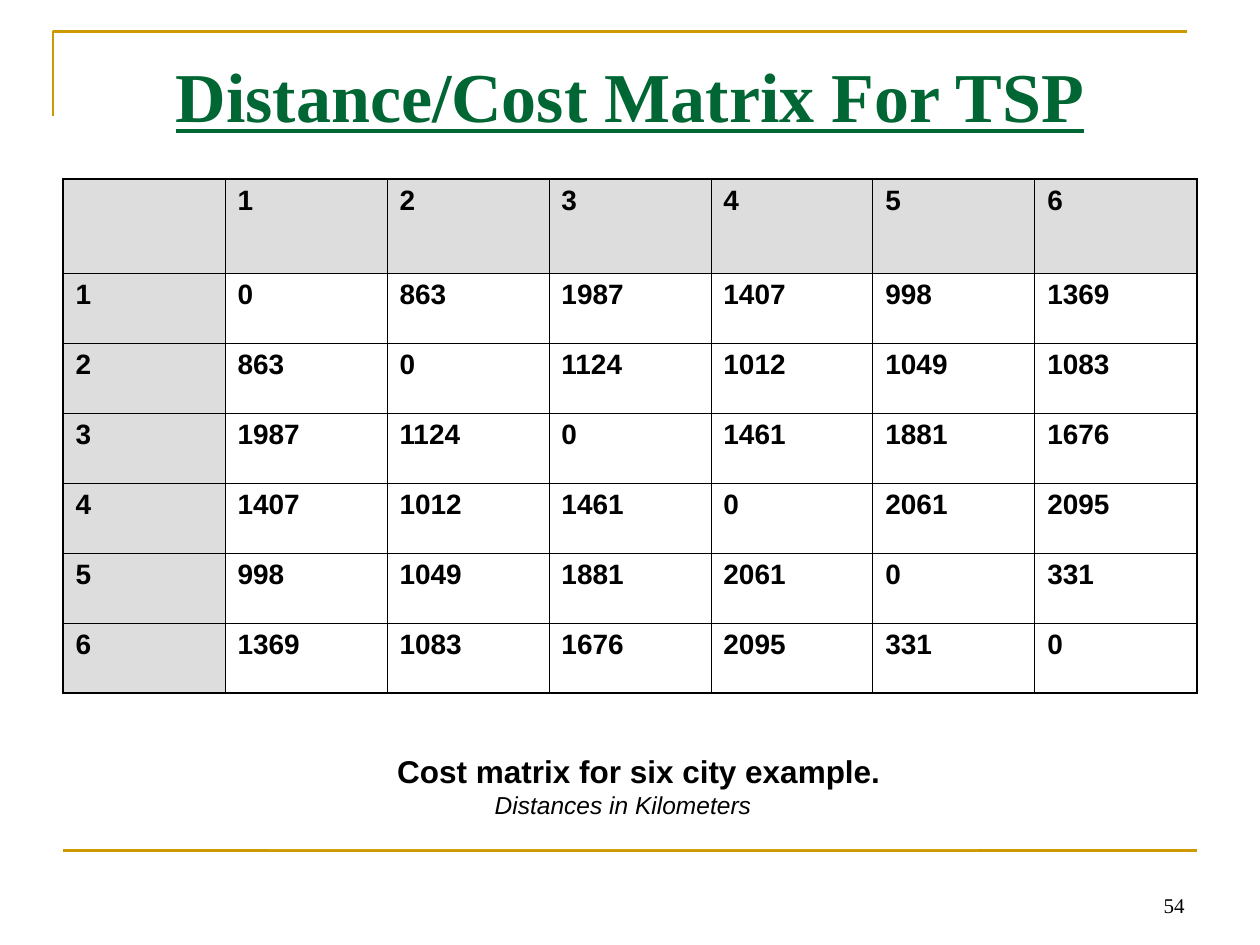
from dataclasses import dataclass

from lxml.etree import SubElement
from pptx import Presentation
from pptx.dml.color import RGBColor
from pptx.enum.shapes import MSO_CONNECTOR
from pptx.enum.text import MSO_ANCHOR, PP_ALIGN
from pptx.oxml.ns import qn
from pptx.slide import Slide
from pptx.table import _Cell
from pptx.util import Inches, Pt

COLORS = {
    "gold": "CC9900",
    "green": "006633",
    "black": "000000",
    "header": "DDDDDD",
    "white": "FFFFFF",
}
SERIF, SANS = "Times New Roman", "Arial"
DISTANCES = [
    [0, 863, 1987, 1407, 998, 1369],
    [863, 0, 1124, 1012, 1049, 1083],
    [1987, 1124, 0, 1461, 1881, 1676],
    [1407, 1012, 1461, 0, 2061, 2095],
    [998, 1049, 1881, 2061, 0, 331],
    [1369, 1083, 1676, 2095, 331, 0],
]
THIN, THICK = 0.45, 1.08


@dataclass
class Line:
    """One paragraph and its type style."""

    text: str
    size: float
    font: str = SANS
    color: str = "black"
    bold: bool = False
    italic: bool = False
    underline: bool = False
    align: PP_ALIGN = PP_ALIGN.CENTER
    indent: float = 0


@dataclass
class TextBlock:
    """A text box with its place and lines."""

    left: float
    top: float
    width: float
    height: float
    lines: list[Line]
    anchor: MSO_ANCHOR = MSO_ANCHOR.TOP
    inset_top: float = 0.05
    fill: str | None = None


BLOCKS = [
    TextBlock(7.17, 6.83, 2.33, 0.5,
              [Line("54", 12, SERIF, align=PP_ALIGN.RIGHT)], MSO_ANCHOR.BOTTOM),
    TextBlock(0.5, 0.3, 9, 1.25,
              [Line("Distance/Cost Matrix For TSP", 40, SERIF, "green", bold=True, underline=True)],
              inset_top=0.12),
    TextBlock(2.13, 5.92, 5.63, 0.82,
              [Line("Cost matrix for six city example.", 18, bold=True, indent=0.25),
               Line("Distances in Kilometers", 14, italic=True)], fill="white"),
]


def rgb(name: str) -> RGBColor:
    """Return the named colour."""
    return RGBColor.from_string(COLORS[name])


def write_line(paragraph, line: Line) -> None:
    """Fill a paragraph with styled text."""
    paragraph.text = line.text
    paragraph.alignment = line.align
    if line.indent:
        paragraph._p.get_or_add_pPr().set("marL", str(Inches(line.indent)))
    font = paragraph.font
    font.name, font.size = line.font, Pt(line.size)
    font.bold, font.italic, font.underline = line.bold, line.italic, line.underline
    font.color.rgb = rgb(line.color)


def add_text(slide: Slide, block: TextBlock) -> None:
    """Place a text block."""
    box = slide.shapes.add_textbox(
        Inches(block.left), Inches(block.top), Inches(block.width), Inches(block.height))
    if block.fill:
        box.fill.solid()
        box.fill.fore_color.rgb = rgb(block.fill)
    frame = box.text_frame
    frame.word_wrap = True
    frame.vertical_anchor = block.anchor
    frame.margin_top = Inches(block.inset_top)
    for index, line in enumerate(block.lines):
        write_line(frame.add_paragraph() if index else frame.paragraphs[0], line)


def add_frame(slide: Slide) -> None:
    """Draw the gold corner and the rule at the foot."""
    builder = slide.shapes.build_freeform(Inches(0.42), Inches(0.92))
    builder.add_line_segments(
        [(Inches(0.42), Inches(0.25)), (Inches(9.42), Inches(0.25))], close=False)
    corner = builder.convert_to_shape()
    corner.shadow.inherit = False
    corner.fill.background()
    rule = slide.shapes.add_connector(
        MSO_CONNECTOR.STRAIGHT, Inches(0.5), Inches(6.75), Inches(9.5), Inches(6.75))
    SubElement(rule._element.spPr, qn("a:effectLst"))
    for stroke in (corner.line, rule.line):
        stroke.color.rgb = rgb("gold")
        stroke.width = Pt(1.5)


def set_borders(cell: _Cell, outer_edges: dict[str, bool]) -> None:
    """Draw thick borders on outer edges and thin ones elsewhere."""
    properties = cell._tc.get_or_add_tcPr()
    for side, outer in outer_edges.items():
        border = SubElement(properties, qn(f"a:ln{side}"), w=str(Pt(THICK if outer else THIN)))
        fill = SubElement(border, qn("a:solidFill"))
        SubElement(fill, qn("a:srgbClr"), val=COLORS["black"])


def add_matrix(slide: Slide) -> None:
    """Build the distance table with numbered headers."""
    cities = range(1, len(DISTANCES) + 1)
    rows = [["", *cities]] + [[city, *row] for city, row in zip(cities, DISTANCES)]
    count = len(rows)
    table = slide.shapes.add_table(
        count, count, Inches(0.5), Inches(1.42), Inches(9), Inches(4.08)).table
    table.first_row = table.horz_banding = False
    for column in table.columns:
        column.width = Inches(9 / count)
    for r, values in enumerate(rows):
        table.rows[r].height = Inches(0.555 if r else 0.75)
        for c, value in enumerate(values):
            cell = table.cell(r, c)
            set_borders(cell, {"L": c == 0, "R": c == count - 1,
                               "T": r == 0, "B": r == count - 1})
            if r and c:
                cell.fill.background()
            else:
                cell.fill.solid()
                cell.fill.fore_color.rgb = rgb("header")
            write_line(cell.text_frame.paragraphs[0],
                       Line(str(value), 16, bold=True, align=PP_ALIGN.LEFT))


def main() -> None:
    """Build and save the slide."""
    presentation = Presentation()
    presentation.slide_width, presentation.slide_height = Inches(10), Inches(7.5)
    slide = presentation.slides.add_slide(presentation.slide_layouts[6])
    add_frame(slide)
    for block in BLOCKS:
        add_text(slide, block)
    add_matrix(slide)
    presentation.save("out.pptx")


if __name__ == "__main__":
    main()
